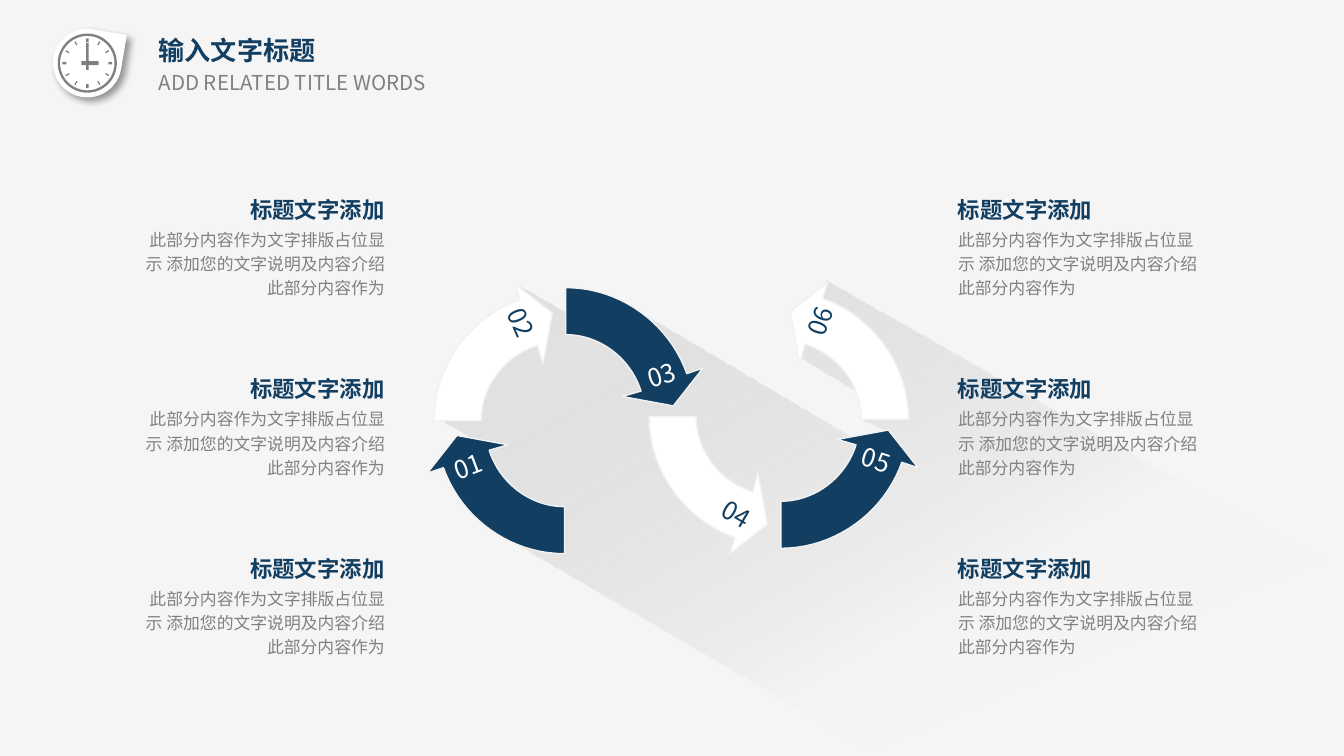
from math import cos, radians, sin

from lxml import etree
from pptx import Presentation
from pptx.dml.color import RGBColor
from pptx.enum.shapes import MSO_SHAPE
from pptx.enum.text import MSO_ANCHOR, PP_ALIGN
from pptx.oxml import parse_xml
from pptx.oxml.ns import nsdecls, qn
from pptx.util import Inches, Pt

FONT = "Noto Sans CJK SC"
NAVY, GRAY, WHITE, PALE = "123E61", "808080", "FFFFFF", "F2F2F2"
ITEM_TITLE = "标题文字添加"
ITEM_BODY = "此部分内容作为文字排版占位显示 添加您的文字说明及内容介绍此部分内容作为"

# Tail corner, direction along the tail, direction across it, label centre and turn
ARROWS = [
    ("01", (4.20, 4.12), (-1, 0), (0, -1), (3.48, 3.47), 339.6),
    ("02", (3.23, 3.13), (0, -1), (1, 0), (3.88, 2.40), 66.7),
    ("03", (4.21, 2.14), (1, 0), (0, 1), (4.92, 2.79), 341.9),
    ("04", (4.83, 3.10), (0, 1), (1, 0), (5.48, 3.82), 30),
    ("05", (5.81, 4.08), (1, 0), (0, -1), (6.52, 3.42), 18.3),
    ("06", (6.76, 3.12), (0, -1), (-1, 0), (6.10, 2.39), 289.3),
]
LONG_SHADOW = [
    (9.86, 4.2), (9.86, 4.14), (6.46, 5.58), (3.71, 3.97), (3.58, 3.3), (3.25, 3.11),
    (3.87, 2.36), (3.96, 2.31), (3.85, 2.12), (4.52, 2.5), (4.74, 2.31), (6.5, 3.35),
    (6.62, 3.22), (6.4, 3.12), (6.54, 3.02), (5.95, 2.66), (6.15, 2.09),
]


def rgb(color):
    return RGBColor.from_string(color)


def paint(sp, fill, line=None):
    sp.shadow.inherit = False
    sp.fill.solid()
    sp.fill.fore_color.rgb = rgb(fill)
    if line:
        sp.line.color.rgb = rgb(line)
        sp.line.width = Pt(0.75)
    else:
        sp.line.fill.background()
    return sp


def centred(s, kind, cx, cy, w, h, fill, turn=0):
    """Add a preset shape around its centre."""
    sp = s.shapes.add_shape(kind, Inches(cx - w / 2), Inches(cy - h / 2), Inches(w), Inches(h))
    sp.rotation = turn
    return paint(sp, fill)


def polygon(s, points):
    points = [(Inches(x), Inches(y)) for x, y in points]
    builder = s.shapes.build_freeform(*points[0])
    builder.add_line_segments(points[1:], close=True)
    return builder.convert_to_shape()


def write(s, text, box, size, color, bold=False, align=PP_ALIGN.LEFT, anchor=MSO_ANCHOR.TOP,
          insets=(0.1, 0.05), wrap=True, turn=0, spacing=1.0, sp=None):
    """Fill a new text box, or the given placeholder, with one paragraph."""
    box = [Inches(v) for v in box]
    if sp is None:
        sp = s.shapes.add_textbox(*box)
    sp.left, sp.top, sp.width, sp.height = box
    sp.rotation = turn
    tf = sp.text_frame
    tf.word_wrap, tf.vertical_anchor = wrap, anchor
    tf.margin_left = tf.margin_right = Inches(insets[0])
    tf.margin_top = tf.margin_bottom = Inches(insets[1])
    p = tf.paragraphs[0]
    p.alignment, p.line_spacing = align, spacing
    r = p.add_run()
    r.text = text
    r.font.name, r.font.size, r.font.bold = FONT, Pt(size), bold
    r.font.color.rgb = rgb(color)
    etree.SubElement(r.font._element, qn("a:ea")).set("typeface", FONT)


def header(s, x, y):
    clock(s, x + 0.26, y + 0.26)
    write(s, "输入文字标题", (x + 0.73, y + 0.02, 2.15, 0.29), 14, NAVY, bold=True,
          anchor=MSO_ANCHOR.MIDDLE, insets=(0.06, 0.03), sp=s.shapes.title)
    write(s, "ADD RELATED TITLE WORDS", (x + 0.68, y + 0.26, 2.52, 0.29), 11, GRAY,
          insets=(0.11, 0.05))


def clock(s, cx, cy):
    drop = centred(s, MSO_SHAPE.TEAR, cx, cy, 0.51, 0.51, WHITE, 9.5)
    effects = drop._element.spPr.find(qn("a:effectLst"))
    effects.append(parse_xml(
        f'<a:outerShdw {nsdecls("a")} blurRad="{Pt(4)}" dist="{Pt(3)}" dir="2700000" '
        'algn="tl" rotWithShape="0"><a:srgbClr val="000000"><a:alpha val="40000"/>'
        '</a:srgbClr></a:outerShdw>'))
    ring = centred(s, MSO_SHAPE.DONUT, cx, cy, 0.44, 0.44, GRAY)
    ring.adjustments[0] = 0.04
    for hour in range(12):
        a = radians(hour * 30)
        width = 0.01 if hour % 3 else 0.02
        centred(s, MSO_SHAPE.RECTANGLE, cx + 0.17 * sin(a), cy - 0.17 * cos(a),
                width, 0.03, GRAY, hour * 30)
    centred(s, MSO_SHAPE.RECTANGLE, cx, cy - 0.05, 0.02, 0.2, GRAY)
    centred(s, MSO_SHAPE.RECTANGLE, cx + 0.02, cy, 0.13, 0.03, GRAY)


def long_shadow(s):
    sp = paint(polygon(s, LONG_SHADOW), PALE)
    stops = "".join(
        f'<a:gs pos="{pos}000"><a:srgbClr val="{color}"><a:alpha val="{alpha}000"/></a:srgbClr></a:gs>'
        for pos, color, alpha in [(0, "000000", 7), (65, PALE, 20), (100, PALE, 0)])
    solid = sp._element.spPr.find(qn("a:solidFill"))
    solid.getparent().replace(solid, parse_xml(
        f'<a:gradFill {nsdecls("a")} rotWithShape="1"><a:gsLst>{stops}</a:gsLst>'
        f'<a:lin ang="{60 * 60000}" scaled="0"/></a:gradFill>'))


def curve(a, b, c, d, steps=20):
    """Points along a cubic Bezier curve."""
    ts = [i / steps for i in range(steps + 1)]
    return [tuple((1 - t) ** 3 * a[k] + 3 * t * (1 - t) ** 2 * b[k]
                  + 3 * t * t * (1 - t) * c[k] + t ** 3 * d[k] for k in (0, 1)) for t in ts]


def arrow(s, label, tail, along, across, centre, turn):
    outer = curve((0.9, 0.64), (0.77, 0.27), (0.41, 0), (0, 0))
    inner = curve((0, 0.35), (0.25, 0.35), (0.48, 0.52), (0.56, 0.77))
    outline = [(0.8, 0.88), (1.02, 0.6)] + outer + inner + [(0.42, 0.81)]
    points = [tuple(tail[k] + u * along[k] + v * across[k] for k in (0, 1)) for u, v in outline]
    fill, ink = (NAVY, WHITE) if int(label) % 2 else (WHITE, NAVY)
    paint(polygon(s, points), fill, PALE)
    write(s, label, (centre[0] - 0.18, centre[1] - 0.15, 0.36, 0.3), 13.5, ink,
          align=PP_ALIGN.CENTER, anchor=MSO_ANCHOR.MIDDLE, insets=(0, 0), wrap=False, turn=turn)


def item(s, left, top, width, align):
    """Add a heading above its text, both aligned to one side of the column."""
    indent = 0.15 if align == PP_ALIGN.RIGHT else 0
    write(s, ITEM_TITLE, (left + indent, top, width - 0.15, 0.32), 12, NAVY, bold=True,
          align=align, spacing=1.2)
    write(s, ITEM_BODY, (left, top + 0.26, width, 0.63), 9, GRAY, align=align, spacing=1.2)


def main():
    prs = Presentation()
    prs.slide_width, prs.slide_height = Inches(10), Inches(10 * 9 / 16)
    s = prs.slides.add_slide(prs.slide_layouts[5])
    s.background.fill.solid()
    s.background.fill.fore_color.rgb = rgb("F5F5F6")
    header(s, 0.39, 0.21)
    long_shadow(s)
    for row in ARROWS:
        arrow(s, *row)
    for left, align in [(0.97, PP_ALIGN.RIGHT), (7.03, PP_ALIGN.LEFT)]:
        for i in range(3):
            item(s, left, 1.37 + i * 1.335, 1.99, align)
    prs.save("out.pptx")


if __name__ == "__main__":
    main()
